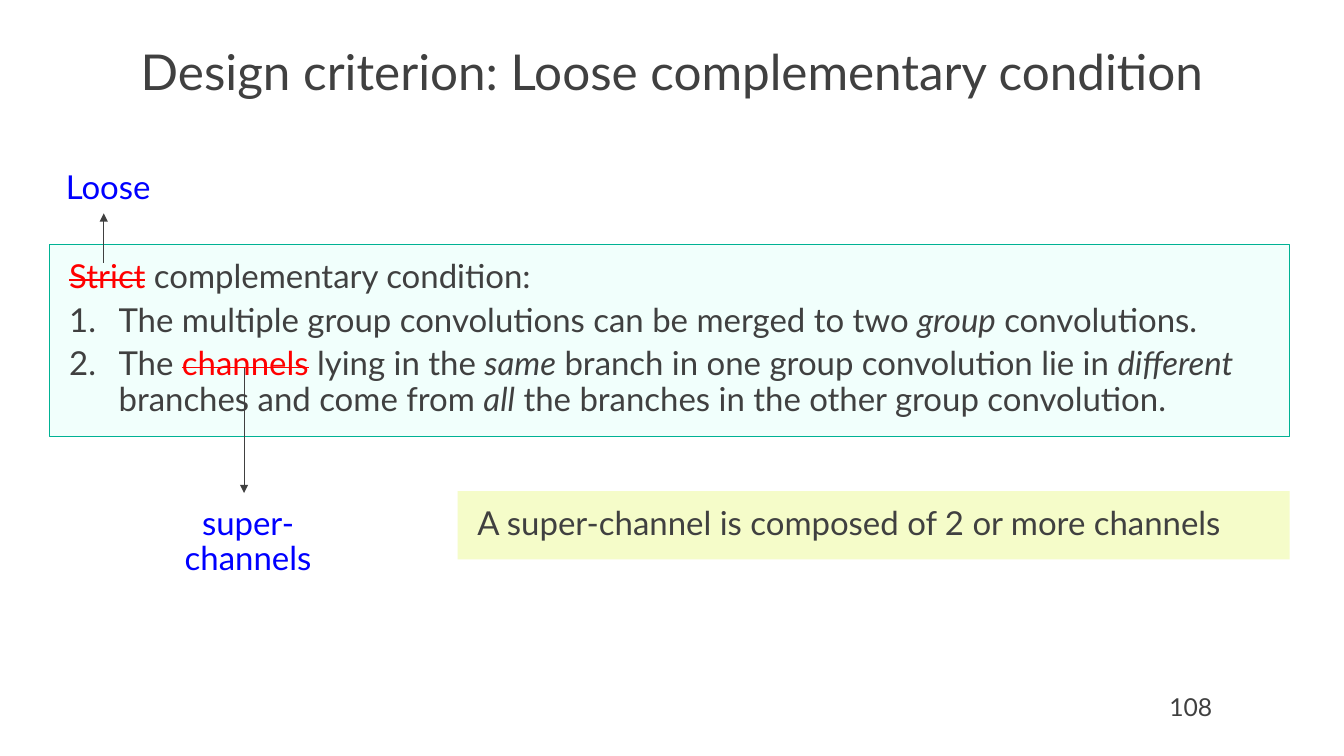
from lxml import etree
from pptx import Presentation
from pptx import util as u
from pptx.dml.color import RGBColor
from pptx.enum import shapes, text
from pptx.oxml.ns import qn

COLORS = {
    "ink": "404040",
    "struck": "FF0000",
    "replacement": "0000FF",
    "condition_fill": "BDFFF4",
    "condition_line": "00B294",
    "note_fill": "F5FCC9",
}


def color(name):
    return RGBColor.from_string(COLORS[name])


def write_text(shape, paragraphs, size=24, ink="ink", align=text.PP_ALIGN.LEFT,
               margins=(0.2, 0.16), line_spacing=0.9, space_after=6):
    frame = shape.text_frame
    frame.word_wrap = True
    frame.vertical_anchor = text.MSO_ANCHOR.TOP
    frame.margin_left = frame.margin_right = u.Inches(margins[0])
    frame.margin_top = frame.margin_bottom = u.Inches(margins[1])
    for index, (numbered, runs) in enumerate(paragraphs):
        paragraph = frame.paragraphs[0] if index == 0 else frame.add_paragraph()
        paragraph.alignment = align
        paragraph.line_spacing = line_spacing
        paragraph.space_before = u.Pt(0)
        paragraph.space_after = u.Pt(space_after)
        if numbered:
            properties = paragraph._p.get_or_add_pPr()
            properties.set("marL", str(u.Inches(0.5)))
            properties.set("indent", str(u.Inches(-0.5)))
            etree.SubElement(properties, qn("a:buFont"), typeface="+mj-lt")
            etree.SubElement(properties, qn("a:buAutoNum"), type="arabicPeriod")
        for wording, style in runs:
            run = paragraph.add_run()
            run.text = wording
            run.font.name = "Lato"
            run.font.size = u.Pt(size)
            run.font.italic = style == "italic"
            run.font.color.rgb = color("struck" if style == "struck" else ink)
            if style == "struck":
                run.font._element.set("strike", "sngStrike")


presentation = Presentation()
presentation.slide_width = u.Inches(13.6)
presentation.slide_height = u.Inches(7.65)
slide = presentation.slides.add_slide(presentation.slide_layouts[6])

condition = [
    (False, [("Strict", "struck"), (" complementary condition:", "plain")]),
    (True, [
        ("The multiple group convolutions can be merged to two ", "plain"),
        ("group", "italic"),
        (" convolutions.", "plain"),
    ]),
    (True, [
        ("The ", "plain"),
        ("channels", "struck"),
        (" lying in the ", "plain"),
        ("same", "italic"),
        (" branch in one group convolution lie in ", "plain"),
        ("different", "italic"),
        (" branches and come from ", "plain"),
        ("all", "italic"),
        (" the branches in the other group convolution.", "plain"),
    ]),
]
note = [(False, [("A super-channel is composed of 2 or more channels", "plain")])]

panels = [
    ((0.5, 2.47, 12.55, 1.95), "condition_fill", "condition_line", 21, condition),
    ((4.63, 4.97, 8.42, 0.69), "note_fill", None, 100, note),
]
for bounds, fill, line, opacity, paragraphs in panels:
    panel = slide.shapes.add_shape(
        shapes.MSO_SHAPE.RECTANGLE, *[u.Inches(value) for value in bounds])
    panel.shadow.inherit = False
    panel.fill.solid()
    panel.fill.fore_color.rgb = color(fill)
    if opacity < 100:
        fill_color = panel.fill._xPr.find(".//" + qn("a:srgbClr"))
        etree.SubElement(fill_color, qn("a:alpha"), val=str(opacity * 1000))
    if line:
        panel.line.color.rgb = color(line)
        panel.line.width = u.Pt(0.75)
    else:
        panel.line.fill.background()
    write_text(panel, paragraphs)

label = {"ink": "replacement"}
page_number = {"size": 18, "margins": (0.1, 0.05), "line_spacing": 1, "space_after": 0}
captions = [
    ((0.5, 0.32, 12.6, 0.87), "Design criterion: Loose complementary condition", {"size": 36}),
    ((0.22, 1.57, 1.75, 0.69), "Loose", label),
    ((1.22, 4.97, 2.58, 0.69), "super-channels", label),
    ((10.55, 6.95, 3, 0.4), "108", page_number),
]
for bounds, wording, style in captions:
    caption = slide.shapes.add_textbox(*[u.Inches(value) for value in bounds])
    write_text(caption, [(False, [(wording, "plain")])],
               align=text.PP_ALIGN.CENTER, **style)

for x, start, end in [(1.05, 2.66, 2.16), (2.47, 3.72, 4.99)]:
    arrow = slide.shapes.add_connector(
        shapes.MSO_CONNECTOR.STRAIGHT,
        u.Inches(x), u.Inches(start), u.Inches(x), u.Inches(end))
    arrow.line.color.rgb = color("ink")
    arrow.line.width = u.Pt(0.75)
    etree.SubElement(arrow.line._get_or_add_ln(), qn("a:tailEnd"), type="triangle")
    etree.SubElement(arrow._element.spPr, qn("a:effectLst"))

presentation.save("out.pptx")
